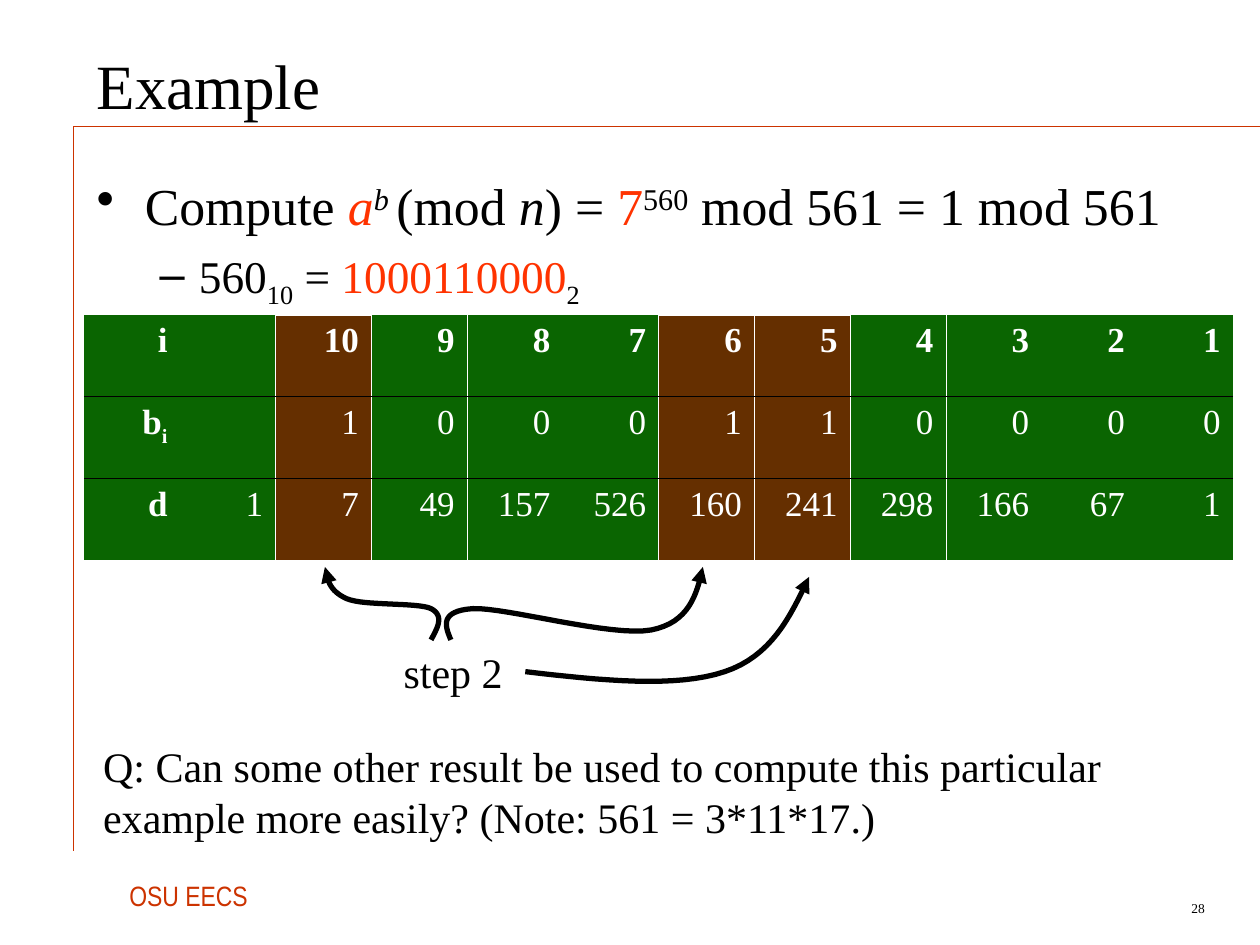
import lxml.etree
import pptx
import pptx.dml.color
import pptx.enum.shapes
import pptx.enum.text
import pptx.oxml.ns
import pptx.util

Cm = pptx.util.Cm
Pt = pptx.util.Pt
Align = pptx.enum.text.PP_ALIGN
Anchor = pptx.enum.text.MSO_ANCHOR
qn = pptx.oxml.ns.qn

COLORS = {
    "text": "000000",
    "accent": "CC3300",
    "highlight": "FF3300",
    "cell": "0A6501",
    "step_cell": "652F00",
    "cell_text": "FFFFFF",
}
SERIF = "Times New Roman"
NO_STYLE = "{2D5ABB26-0587-4C30-8999-92F81FD0307C}"

# Bits of the exponent and the running result, one column for each i
TABLE_ROWS = [
    ["i", "", "10", "9", "8", "7", "6", "5", "4", "3", "2", "1"],
    ["b", "", "1", "0", "0", "0", "1", "1", "0", "0", "0", "0"],
    ["d", "1", "7", "49", "157", "526", "160", "241", "298", "166", "67", "1"],
]
STEP_COLUMNS = {2, 6, 7}

# Arrows in cm: a start point, then three Bezier points for each curve
ARROWS = [
    [(8.69, 12.9), (8.81, 12.67), (8.97, 12.42), (8.69, 12.27),
     (8.41, 12.14), (7.34, 12.22), (6.99, 12.07),
     (6.63, 11.91), (6.6, 11.68), (6.55, 11.43)],
    [(9.09, 12.9), (8.97, 12.62), (8.86, 12.32), (9.53, 12.27),
     (10.19, 12.24), (12.34, 12.85), (13.13, 12.7),
     (13.89, 12.55), (14.05, 11.99), (14.17, 11.43)],
    [(10.59, 13.54), (12.12, 13.72), (13.64, 13.87), (14.61, 13.54),
     (15.54, 13.23), (15.93, 12.45), (16.31, 11.63)],
]


def rgb(name):
    return pptx.dml.color.RGBColor.from_string(COLORS[name])


def add_run(paragraph, text, color=None, italic=None, baseline=0):
    run = paragraph.add_run()
    run.text = text
    if color:
        run.font.color.rgb = rgb(color)
    if italic:
        run.font.italic = True
    if baseline:
        run.font._element.set("baseline", str(baseline * 1000))


def set_font(paragraph, size, color="text", name=SERIF, bold=None):
    paragraph.font.size = Pt(size)
    paragraph.font.name = name
    paragraph.font.color.rgb = rgb(color)
    paragraph.font.bold = bold


def add_text(slide, box, text, size, color="text", name=SERIF,
             align=Align.LEFT, anchor=Anchor.TOP, wrap=True):
    shape = slide.shapes.add_textbox(*map(Cm, box))
    frame = shape.text_frame
    frame.word_wrap = wrap
    frame.vertical_anchor = anchor
    paragraph = frame.paragraphs[0]
    paragraph.alignment = align
    set_font(paragraph, size, color, name)
    if text:
        add_run(paragraph, text)
    return frame


def add_bullet(paragraph, symbol, size, left, hanging, runs):
    properties = paragraph._p.get_or_add_pPr()
    properties.set("marL", str(Cm(left)))
    properties.set("indent", str(-Cm(hanging)))
    bullet = lxml.etree.SubElement(properties, qn("a:buChar"))
    bullet.set("char", symbol)
    set_font(paragraph, size)
    for run in runs:
        add_run(paragraph, *run)


def add_rule(slide, start, end, width):
    line = slide.shapes.add_connector(
        pptx.enum.shapes.MSO_CONNECTOR.STRAIGHT, *map(Cm, start + end))
    line.line.color.rgb = rgb("accent")
    line.line.width = Pt(width)
    lxml.etree.SubElement(line._element.spPr, qn("a:effectLst"))


def set_borders(cell, row, column):
    sides = {}
    if STEP_COLUMNS & {column, column - 1}:
        sides["a:lnL"] = "cell_text"
    if STEP_COLUMNS & {column, column + 1}:
        sides["a:lnR"] = "cell_text"
    if row == 1:
        sides["a:lnT"] = "text"
    elif row == 0 and column in STEP_COLUMNS:
        sides["a:lnT"] = "cell_text"
    if row == 0:
        sides["a:lnB"] = "text"
    elif row == 2 and column in STEP_COLUMNS:
        sides["a:lnB"] = "cell_text"
    properties = cell._tc.get_or_add_tcPr()
    for tag, color in sides.items():
        border = lxml.etree.SubElement(properties, qn(tag), w=str(Pt(0.45)))
        fill = lxml.etree.SubElement(border, qn("a:solidFill"))
        lxml.etree.SubElement(fill, qn("a:srgbClr"), val=COLORS[color])


def add_exponent_table(slide, left, top, column_width, row_height):
    rows, columns = len(TABLE_ROWS), len(TABLE_ROWS[0])
    table = slide.shapes.add_table(
        rows, columns, Cm(left), Cm(top),
        Cm(column_width * columns), Cm(row_height * rows)).table
    table.first_row = table.horz_banding = False
    table._tbl.tblPr.find(qn("a:tableStyleId")).text = NO_STYLE
    for row, texts in enumerate(TABLE_ROWS):
        for column, text in enumerate(texts):
            cell = table.cell(row, column)
            set_borders(cell, row, column)
            cell.fill.solid()
            cell.fill.fore_color.rgb = rgb(
                "step_cell" if column in STEP_COLUMNS else "cell")
            paragraph = cell.text_frame.paragraphs[0]
            paragraph.alignment = Align.RIGHT
            set_font(paragraph, 20, "cell_text", bold=row == 0 or column == 0)
            if text:
                add_run(paragraph, text)
            if text == "b":
                add_run(paragraph, "i", baseline=-25)


def curve_points(points, steps=16):
    for first in range(0, len(points) - 1, 3):
        a, b, c, d = points[first:first + 4]
        for step in range(1, steps + 1):
            t = step / steps
            u = 1 - t
            yield tuple(
                Cm(u**3 * p + 3 * u * u * t * q + 3 * u * t * t * r + t**3 * s)
                for p, q, r, s in zip(a, b, c, d))


def add_curved_arrow(slide, points):
    builder = slide.shapes.build_freeform(*map(Cm, points[0]))
    builder.add_line_segments(curve_points(points), close=False)
    shape = builder.convert_to_shape()
    shape.shadow.inherit = False
    shape.fill.background()
    shape.line.color.rgb = rgb("text")
    shape.line.width = Pt(3)
    line = shape.line._get_or_add_ln()
    lxml.etree.SubElement(line, qn("a:round"))
    lxml.etree.SubElement(line, qn("a:tailEnd"), type="triangle")


def main():
    presentation = pptx.Presentation()
    presentation.slide_width = Cm(25.4)
    presentation.slide_height = Cm(19.05)
    slide = presentation.slides.add_slide(presentation.slide_layouts[6])

    # Frame lines, footer and slide number
    add_rule(slide, (1.48, 2.54), (25.4, 2.54), 0.25)
    add_rule(slide, (1.48, 2.54), (1.48, 17.15), 0.75)
    add_text(slide, (2.36, 17.58, 3.02, 0.94), "OSU EECS", 16, "accent",
             "Arial Narrow", wrap=False)
    add_text(slide, (22.43, 17.98, 2.11, 0.64), "28", 7.7,
             align=Align.RIGHT, anchor=Anchor.MIDDLE)

    # Title and statement
    add_text(slide, (1.7, 0.43, 22.89, 2.54), "Example", 36,
             anchor=Anchor.MIDDLE)
    body = add_text(slide, (1.7, 3.38, 22.81, 4.52), "", 29.6)
    add_bullet(body.paragraphs[0], "•", 29.6, 0.97, 0.97, [
        ("Compute ",), ("a", "highlight", True), ("b ", None, True, 30),
        ("(mod ",), ("n", None, True), (") = ",), ("7", "highlight"),
        ("560", None, False, 30), (" mod 561 = 1 mod 561",)])
    expansion = body.add_paragraph()
    expansion.level = 1
    expansion.space_before = Pt(7)
    add_bullet(expansion, "–", 25.9, 2.06, 0.79, [
        ("560",), ("10", None, False, -25), (" = ",),
        ("1000110000", "highlight"), ("2", None, False, -25)])

    # Table with the columns of step 2 marked
    add_exponent_table(slide, 1.7, 6.35, 1.93, 1.65)
    add_text(slide, (7.19, 12.9, 3.89, 1.27), "step 2", 24,
             align=Align.CENTER)
    for points in ARROWS:
        add_curved_arrow(slide, points)

    # Closing question
    add_text(slide, (1.83, 14.81, 23.14, 2.97),
             "Q: Can some other result be used to compute this particular "
             "example more easily? (Note: 561 = 3*11*17.)", 24)

    presentation.save("out.pptx")


if __name__ == "__main__":
    main()
